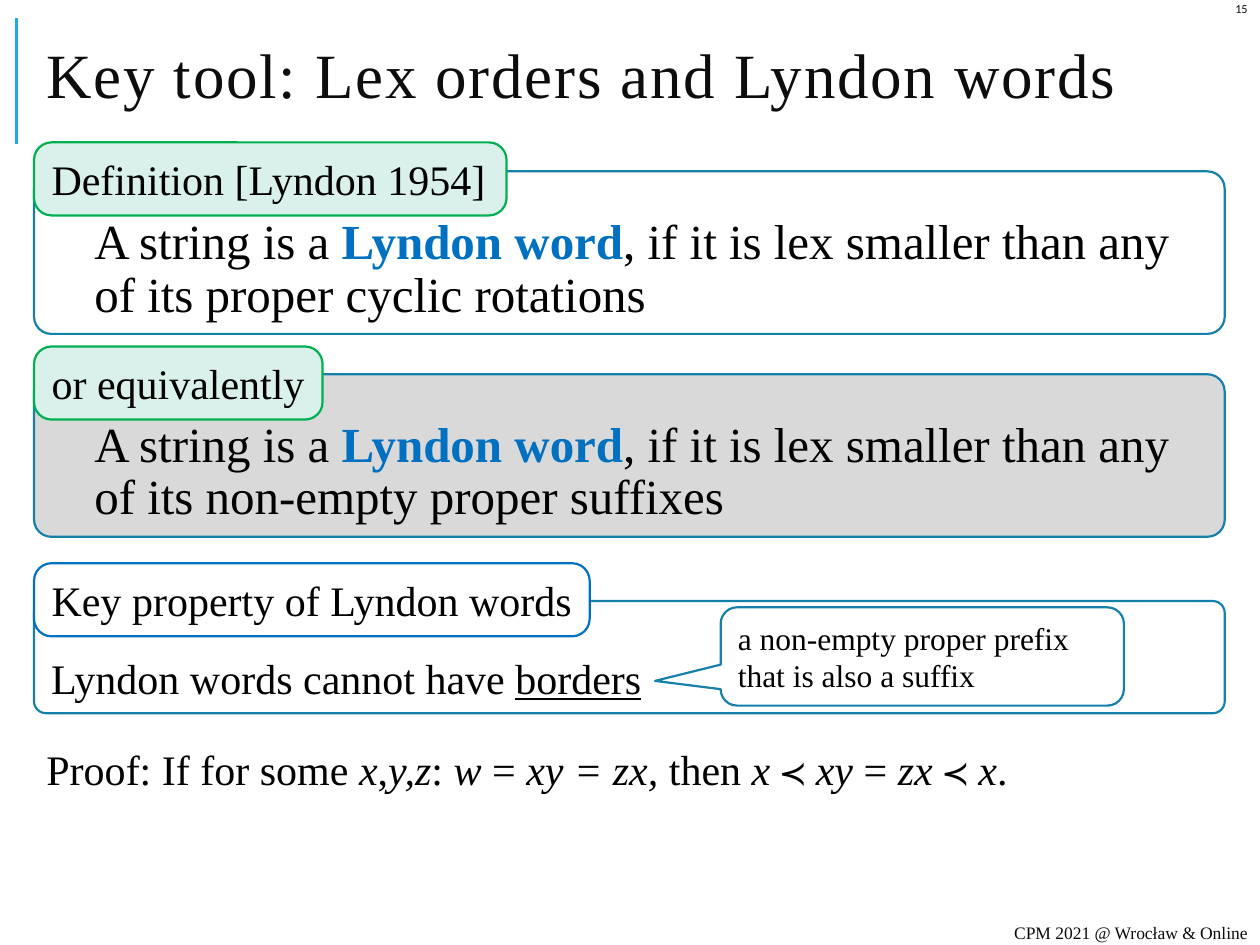
from dataclasses import dataclass

from lxml import etree
from pptx import Presentation
from pptx.dml.color import RGBColor
from pptx.enum.shapes import MSO_CONNECTOR, MSO_SHAPE
from pptx.enum.text import MSO_ANCHOR, PP_ALIGN
from pptx.oxml.ns import qn
from pptx.util import Inches, Pt

ROUNDED = MSO_SHAPE.ROUNDED_RECTANGLE
CALLOUT = MSO_SHAPE.ROUNDED_RECTANGULAR_CALLOUT
STRAIGHT = MSO_CONNECTOR.STRAIGHT
TOP, MIDDLE, BOTTOM = MSO_ANCHOR.TOP, MSO_ANCHOR.MIDDLE, MSO_ANCHOR.BOTTOM
LEFT, RIGHT = PP_ALIGN.LEFT, PP_ALIGN.RIGHT


@dataclass(frozen=True)
class Theme:
    serif: str = "Times New Roman"
    sans: str = "Calibri"
    black: str = "000000"
    ink: str = "0D0D0D"
    term: str = "0070C0"
    frame: str = "1580A9"
    accent: str = "1CADE4"
    green: str = "00B050"
    mint: str = "D9F1EA"
    gray: str = "D9D9D9"
    white: str = "FFFFFF"
    title: int = 36
    statement: int = 28
    body: int = 24
    note: int = 18
    footer: int = 10
    number: int = 7


THEME = Theme()
MARGIN, CONTENT_WIDTH = 0.27, 9.45


def write(box, spans, size, anchor, align=LEFT, color=THEME.black,
          font=THEME.serif, wrap=True):
    """Fill the first paragraph with (text, style) spans; style holds b, i, u or t (term)."""
    frame = box.text_frame
    frame.word_wrap = wrap
    frame.vertical_anchor = anchor
    para = frame.paragraphs[0]
    para.alignment = align
    for text, style in spans:
        if text == "\n":
            para.add_line_break()
            continue
        span = para.add_run()
        span.text = text
        span.font.name = font
        span.font.size = Pt(size)
        span.font.bold = "b" in style
        span.font.italic = "i" in style
        span.font.underline = "u" in style
        span.font.color.rgb = RGBColor.from_string(THEME.term if "t" in style else color)
    return para


def add_panel(kind, left, top, width, height, adjustments, line, fill=None):
    panel = page.shapes.add_shape(
        kind, Inches(left), Inches(top), Inches(width), Inches(height))
    panel.shadow.inherit = False
    for index, value in enumerate(adjustments):
        panel.adjustments[index] = value
    panel.line.color.rgb = RGBColor.from_string(line)
    panel.line.width = Pt(1.25)
    if fill:
        panel.fill.solid()
        panel.fill.fore_color.rgb = RGBColor.from_string(fill)
    else:
        panel.fill.background()
    return panel


deck = Presentation()
deck.slide_width, deck.slide_height = Inches(10), Inches(7.5)
page = deck.slides.add_slide(deck.slide_layouts[6])

# Title with its accent rule
rule = page.shapes.add_connector(
    STRAIGHT, Inches(0.13), Inches(1.14), Inches(0.13), Inches(0.14))
rule.line.color.rgb = RGBColor.from_string(THEME.accent)
rule.line.width = Pt(1.5)
etree.SubElement(rule._element.spPr, qn("a:effectLst"))

title = page.shapes.add_textbox(
    Inches(MARGIN), Inches(0.14), Inches(CONTENT_WIDTH), Inches(1))
para = write(title, [("Key tool: Lex orders and Lyndon words", "")],
             THEME.title, MIDDLE, color=THEME.ink)
para.line_spacing = 0.8
para.runs[0].font._element.set("spc", "100")

# Callout explaining borders
callout = add_panel(CALLOUT, 5.72, 4.82, 3.2, 0.78, (-0.663, 0.249, 0.167), THEME.frame)
write(callout, [("a non-empty proper prefix ", ""), ("\n", ""),
                ("that is also a suffix", "")], THEME.note, MIDDLE)

# Framed statements, each with a label on its upper left corner
statement_start = [("A string is a ", ""), ("Lyndon word", "bt")]
statements = [
    # frame top, height, fill, indent, size, spans, label, top, width, line, fill
    (1.36, 1.29, None, 0.34, THEME.statement,
     statement_start + [(", if it is lex smaller than any of its proper cyclic rotations", "")],
     "Definition [Lyndon 1954]", 1.13, 3.75, THEME.green, THEME.mint),
    (4.77, 0.89, None, 0.01, THEME.body,
     [("Lyndon words cannot have ", ""), ("borders", "u")],
     "Key property of Lyndon words", 4.47, 4.41, THEME.term, THEME.white),
    (2.97, 1.29, THEME.gray, 0.34, THEME.statement,
     statement_start + [(", if it is lex smaller than any of its non-empty proper suffixes", "")],
     "or equivalently", 2.75, 2.29, THEME.green, THEME.mint),
]
for (top, height, fill, indent, size, spans,
     label, label_top, label_width, label_line, label_fill) in statements:
    panel = add_panel(ROUNDED, MARGIN, top, CONTENT_WIDTH, height, [0.106], THEME.frame, fill)
    para = write(panel, spans, size, BOTTOM)
    para.line_spacing = 0.9
    para.space_after = Pt(2)
    para._p.get_or_add_pPr().set("marL", str(Inches(indent)))
    tag = add_panel(ROUNDED, MARGIN, label_top, label_width, 0.58, [0.24],
                    label_line, label_fill)
    write(tag, [(label, "")], THEME.body, MIDDLE, wrap=False)

# Proof
proof = page.shapes.add_textbox(
    Inches(MARGIN), Inches(5.9), Inches(CONTENT_WIDTH), Inches(0.46))
para = write(proof, [
    ("Proof: If for some ", ""), ("x", "i"), (",", ""), ("y,z", "i"), (": ", ""),
    ("w", "i"), (" = ", ""), ("xy = zx, ", "i"), ("then ", ""), ("x ", "i"),
    ("≺ ", ""), ("xy", "i"), (" = ", ""), ("zx ", "i"), ("≺ ", ""), ("x", "i"), (".", ""),
], THEME.body, TOP)
para.line_spacing = 0.9
para.space_after = Pt(2)

# Footer and page number
for left, top, width, height, text, size, font in [
    (7.27, 7.3, 2.73, 0.2, "CPM 2021 @ Wrocław & Online", THEME.footer, THEME.serif),
    (9.68, 0, 0.32, 0.14, "15", THEME.number, THEME.sans),
]:
    box = page.shapes.add_textbox(Inches(left), Inches(top), Inches(width), Inches(height))
    write(box, [(text, "")], size, MIDDLE, RIGHT, THEME.ink, font)

deck.save("out.pptx")
